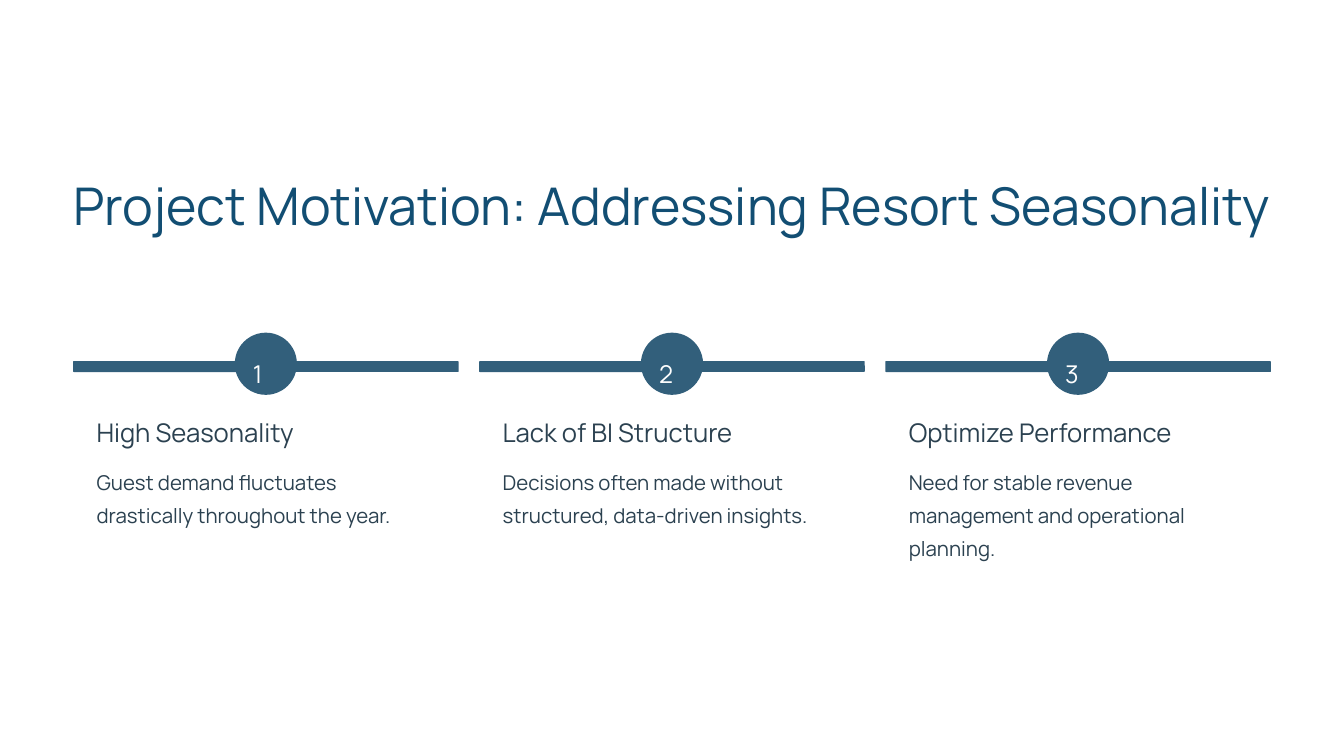
import pptx
import pptx.dml.color
import pptx.enum.shapes
import pptx.util

Cm = pptx.util.Cm
Pt = pptx.util.Pt
RGBColor = pptx.dml.color.RGBColor

FONT = "Manrope"
WHITE = RGBColor(0xFF, 0xFF, 0xFF)
NAVY = RGBColor(0x12, 0x4E, 0x73)
STEEL = RGBColor(0x32, 0x5F, 0x7B)
SLATE = RGBColor(0x2B, 0x41, 0x50)

REASONS = [
    ("High Seasonality",
     "Guest demand fluctuates drastically throughout the year."),
    ("Lack of BI Structure",
     "Decisions often made without structured, data-driven insights."),
    ("Optimize Performance",
     "Need for stable revenue management and operational planning."),
]


def add_text(s, text, box, size, spacing, color, wrap=True):
    """Add a one-paragraph text box without margins; box is in centimetres."""
    tf = s.shapes.add_textbox(*map(Cm, box)).text_frame
    tf.margin_left = tf.margin_right = tf.margin_top = tf.margin_bottom = 0
    tf.word_wrap = wrap
    p = tf.paragraphs[0]
    p.text = text
    p.line_spacing = Pt(spacing)
    font = p.runs[0].font
    font.name = FONT
    font.size = Pt(size)
    font.color.rgb = color


def add_round_rect(s, box, radius, color):
    """Add a filled rounded rectangle without a line; box is in centimetres."""
    kind = pptx.enum.shapes.MSO_SHAPE.ROUNDED_RECTANGLE
    sp = s.shapes.add_shape(kind, *map(Cm, box))
    sp.adjustments[0] = radius
    sp.shadow.inherit = False
    sp.fill.solid()
    sp.fill.fore_color.rgb = color
    sp.line.fill.background()


def add_title(s, box):
    """Add the slide title."""
    add_text(s, "Project Motivation: Addressing Resort Seasonality",
             box, 44.5, 55.5, NAVY)


def add_reason(s, box, number, heading, body):
    """Add one numbered column: card, bar, badge, heading and body."""
    x, y, w, h = box
    badge, inset = 1.88, 0.71
    add_round_rect(s, (x, y + 0.94, w, h - 0.94), 0.06, WHITE)
    add_round_rect(s, (x, y + 0.86, w, 0.33), 0.08, STEEL)
    add_round_rect(s, (x + (w - badge) / 2, y, badge, badge), 0.5, STEEL)
    add_text(s, str(number), (x + 5.44, y + 0.48, 0.76, 0.94),
             21, 34, WHITE, wrap=False)
    add_text(s, heading, (x + inset, y + 2.51, 8, 0.99),
             22, 27.5, SLATE, wrap=False)
    add_text(s, body, (x + inset, y + 3.88, w - 2 * inset, 3.02),
             17.5, 28.5, SLATE)


def add_reasons(s, box):
    """Spread the reasons over equal columns."""
    x, y, w, h = box
    gap = 0.62
    col = (w - gap * (len(REASONS) - 1)) / len(REASONS)
    for i, (heading, body) in enumerate(REASONS):
        add_reason(s, (x + i * (col + gap), y, col, h), i + 1, heading, body)


def main():
    """Build and save the slide."""
    prs = pptx.Presentation()
    prs.slide_width = Cm(40.64)
    prs.slide_height = Cm(22.86)
    s = prs.slides.add_slide(prs.slide_layouts[6])
    s.background.fill.solid()
    s.background.fill.fore_color.rgb = WHITE
    add_title(s, (2.21, 5.18, 36.22, 3.94))
    add_reasons(s, (2.21, 10.06, 36.22, 7.62))
    prs.save("out.pptx")


if __name__ == "__main__":
    main()
